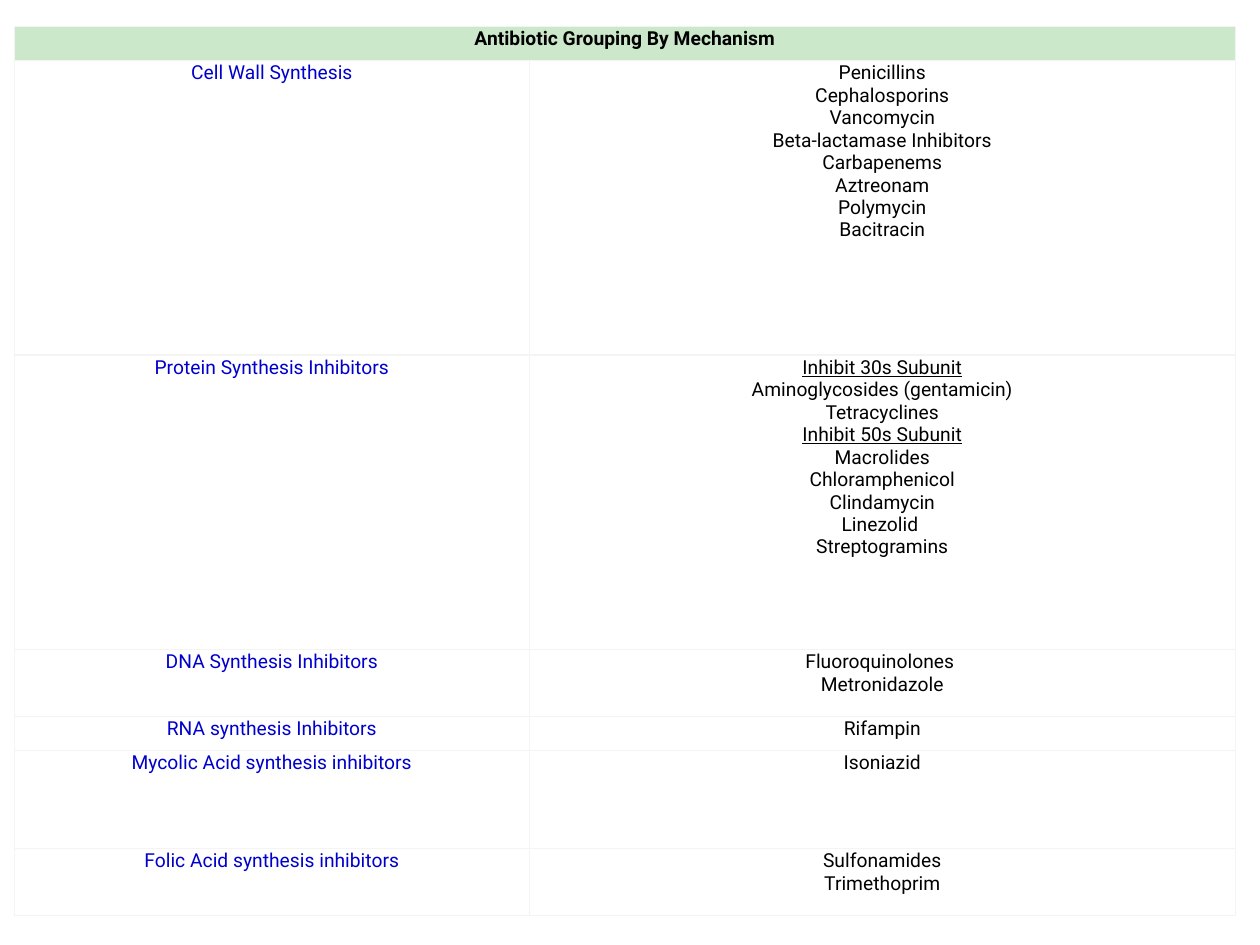
from lxml import etree
from pptx import Presentation
from pptx.dml.color import RGBColor
from pptx.enum.text import PP_ALIGN
from pptx.oxml.ns import qn
from pptx.util import Pt

CENTER = PP_ALIGN.CENTER

BLACK = RGBColor(0x00, 0x00, 0x00)
BLUE = RGBColor(0x00, 0x00, 0xCC)
GREEN = RGBColor(0xCB, 0xE8, 0xCA)
GRAY = RGBColor(0xF4, 0xF4, 0xF4)

FONT = "Roboto"
SIZE = Pt(11)
INSET = Pt(0.75)

TITLE = "Antibiotic Grouping By Mechanism"
HEADS = ("Inhibit 30s Subunit", "Inhibit 50s Subunit")

# Mechanism, drugs and row height
GROUPS = [
    ("Cell Wall Synthesis",
     ["Penicillins", "Cephalosporins", "Vancomycin",
      "Beta-lactamase Inhibitors", "Carbapenems", "Aztreonam",
      "Polymycin", "Bacitracin"], 168.3),
    ("Protein Synthesis Inhibitors",
     [HEADS[0], "Aminoglycosides (gentamicin)", "Tetracyclines",
      HEADS[1], "Macrolides", "Chloramphenicol", "Clindamycin",
      "Linezolid\u00a0", "Streptogramins"], 168.3),
    ("DNA Synthesis Inhibitors",
     ["Fluoroquinolones\u00a0", "Metronidazole"], 38.3),
    ("RNA synthesis Inhibitors", ["Rifampin"], 19.6),
    ("Mycolic Acid synthesis inhibitors", ["Isoniazid"], 56),
    ("Folic Acid synthesis inhibitors",
     ["Sulfonamides", "Trimethoprim"], 38.3),
]
COLS = (294.2, 403.4)
ROWS = [19.6] + [height for _, _, height in GROUPS]


def add_borders(cell):
    props = cell._tc.get_or_add_tcPr()
    for side in ("a:lnL", "a:lnR", "a:lnT", "a:lnB"):
        line = etree.SubElement(props, qn(side), w=str(Pt(0.75)))
        fill = etree.SubElement(line, qn("a:solidFill"))
        etree.SubElement(fill, qn("a:srgbClr"), val=str(GRAY))


def style_cell(cell):
    cell.margin_left = cell.margin_right = INSET
    cell.margin_top = cell.margin_bottom = INSET
    add_borders(cell)
    cell.fill.background()


def write_cell(cell, lines, color, bold=False):
    frame = cell.text_frame
    frame.text = "\n".join(lines)
    for para in frame.paragraphs:
        para.alignment = CENTER
        font = para.font
        font.name = FONT
        font.size = SIZE
        font.bold = bold
        font.underline = para.text in HEADS
        font.color.rgb = color


def add_grid(slide):
    frame = slide.shapes.add_table(
        len(ROWS), len(COLS), Pt(8.3), Pt(15), Pt(sum(COLS)), Pt(sum(ROWS)))
    table = frame.table
    table.first_row = False
    table.horz_banding = False
    for col, width in zip(table.columns, COLS):
        col.width = Pt(width)
    for row, height in zip(table.rows, ROWS):
        row.height = Pt(height)
    for cell in table.iter_cells():
        style_cell(cell)
    return table


def main():
    deck = Presentation()
    deck.slide_width, deck.slide_height = Pt(720), Pt(540)
    slide = deck.slides.add_slide(deck.slide_layouts[6])
    table = add_grid(slide)

    # Title row across both columns
    title = table.cell(0, 0)
    title.merge(table.cell(0, 1))
    title.fill.solid()
    title.fill.fore_color.rgb = GREEN
    write_cell(title, [TITLE], BLACK, bold=True)

    # One row for each mechanism
    for row, (name, drugs, _) in enumerate(GROUPS, 1):
        write_cell(table.cell(row, 0), [name], BLUE)
        write_cell(table.cell(row, 1), drugs, BLACK)

    deck.save("out.pptx")


if __name__ == "__main__":
    main()
